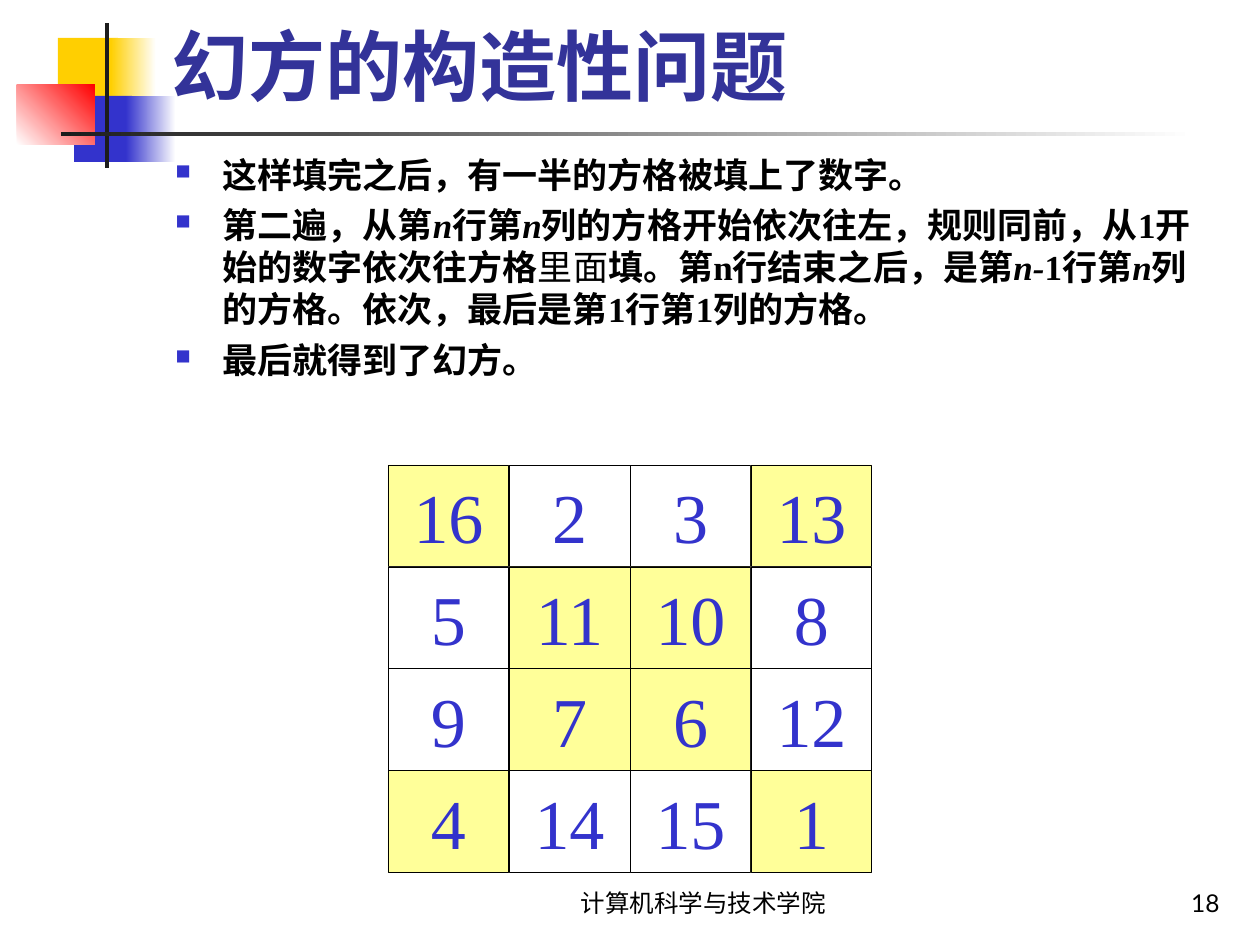
"""Build the slide on constructing a magic square."""
from lxml import etree
from pptx import Presentation
from pptx.dml.color import RGBColor
from pptx.enum.shapes import MSO_SHAPE
from pptx.enum.text import MSO_ANCHOR, PP_ALIGN
from pptx.oxml.ns import qn
from pptx.util import Emu, Pt

RECT = MSO_SHAPE.RECTANGLE
TOP, MIDDLE, BOTTOM = MSO_ANCHOR.TOP, MSO_ANCHOR.MIDDLE, MSO_ANCHOR.BOTTOM
LEFT, CENTER, RIGHT = PP_ALIGN.LEFT, PP_ALIGN.CENTER, PP_ALIGN.RIGHT
BLACK = RGBColor(0x00, 0x00, 0x00)
WHITE = RGBColor(0xFF, 0xFF, 0xFF)
CHARCOAL = RGBColor(0x1C, 0x1C, 0x1C)
GOLD = RGBColor(0xFF, 0xCF, 0x01)
RED = RGBColor(0xFF, 0x00, 0x00)
BLUE = RGBColor(0x33, 0x33, 0xCC)
NAVY = RGBColor(0x33, 0x33, 0x99)
PALE_YELLOW = RGBColor(0xFF, 0xFF, 0x99)
SANS, SERIF = "Lato", "Times New Roman"
PX = 914400 // 126


def add_rect(left, top, width, height):
    rect = page.shapes.add_shape(RECT, left * PX, top * PX, width * PX, height * PX)
    rect.shadow.inherit = False
    rect.line.fill.background()
    return rect


def add_span(para, text, size, font, color, bold=False, italic=False):
    span = para.add_run()
    span.text = text
    span.font.size = Pt(size)
    span.font.name = font
    span.font.color.rgb = color
    span.font.bold = bold
    span.font.italic = italic


deck = Presentation()
deck.slide_width, deck.slide_height = Emu(1260 * PX), Emu(945 * PX)
page = deck.slides.add_slide(deck.slide_layouts[6])

ornaments = [
    (58, 38, 60, 66, GOLD, None, 0),
    (111, 38, 45, 66, GOLD, WHITE, 0),
    (74, 96, 58, 66, BLUE, None, 0),
    (126, 96, 50, 66, BLUE, WHITE, 0),
    (17, 85, 78, 60, WHITE, RED, 45),
    (105, 23, 4, 145, CHARCOAL, None, 0),
    (61, 132, 1134, 4, CHARCOAL, WHITE, 0),
]
for left, top, width, height, start, end, angle in ornaments:
    fill = add_rect(left, top, width, height).fill
    if end is None:
        fill.solid()
        fill.fore_color.rgb = start
    else:
        fill.gradient()
        fill.gradient_angle = angle
        for stop, color, position in zip(fill.gradient_stops, (start, end), (0, 1)):
            stop.color.rgb = color
            stop.position = position

labels = [
    (504, 861, 399, 63, "计算机科学与技术学院", 14, BLACK, False, CENTER),
    (970, 861, 262, 63, "18", 14, BLACK, False, RIGHT),
    (159, 23, 1074, 94, "幻方的构造性问题", 44, NAVY, True, LEFT),
]
for left, top, width, height, text, size, color, bold, align in labels:
    box = page.shapes.add_textbox(left * PX, top * PX, width * PX, height * PX)
    box.text_frame.word_wrap = True
    box.text_frame.vertical_anchor = BOTTOM
    para = box.text_frame.paragraphs[0]
    para.alignment = align
    add_span(para, text, size, SANS, color, bold)

PLAIN, BOLD, ITALIC = (False, False), (True, False), (True, True)
points = [
    [("这样填完之后，有一半的方格被填上了数字。", BOLD)],
    [
        ("第二遍，从第", BOLD),
        ("n", ITALIC),
        ("行第", BOLD),
        ("n", ITALIC),
        ("列的方格开始依次往左，规则同前，从1开始的数字依次往方格", BOLD),
        ("里面", PLAIN),
        ("填。第n行结束之后，是第", BOLD),
        ("n-", ITALIC),
        ("1行第", BOLD),
        ("n", ITALIC),
        ("列的方格。依次，最后是第1行第1列的方格。", BOLD),
    ],
    [("最后就得到了幻方。", BOLD)],
]
body = page.shapes.add_textbox(163 * PX, 147 * PX, 1071 * PX, 698 * PX).text_frame
body.word_wrap = True
body.vertical_anchor = TOP
for index, point in enumerate(points):
    para = body.add_paragraph() if index else body.paragraphs[0]
    props = para._p.get_or_add_pPr()
    props.set("marL", str(47 * PX))
    props.set("indent", str(-47 * PX))
    bullet_color = etree.SubElement(props, qn("a:buClr"))
    etree.SubElement(bullet_color, qn("a:srgbClr")).set("val", str(BLUE))
    etree.SubElement(props, qn("a:buSzPct")).set("val", "60000")
    etree.SubElement(props, qn("a:buChar")).set("char", "■")
    para.space_before = Pt(5 if index else 0)
    for text, (bold, italic) in point:
        add_span(para, text, 20, SERIF, BLACK, bold, italic)

square = [
    [16, 2, 3, 13],
    [5, 11, 10, 8],
    [9, 7, 6, 12],
    [4, 14, 15, 1],
]
CELL_W, CELL_H = 121, 102
for row, numbers in enumerate(square):
    for column, number in enumerate(numbers):
        cell = add_rect(388 + column * CELL_W, 465 + row * CELL_H, CELL_W, CELL_H)
        on_diagonal = row == column or row + column == 3
        cell.fill.solid()
        cell.fill.fore_color.rgb = PALE_YELLOW if on_diagonal else WHITE
        cell.line.color.rgb = BLACK
        cell.line.width = Pt(0.5)
        cell.text_frame.vertical_anchor = MIDDLE
        para = cell.text_frame.paragraphs[0]
        para.alignment = CENTER
        add_span(para, str(number), 40, SERIF, BLUE)

deck.save("out.pptx")
